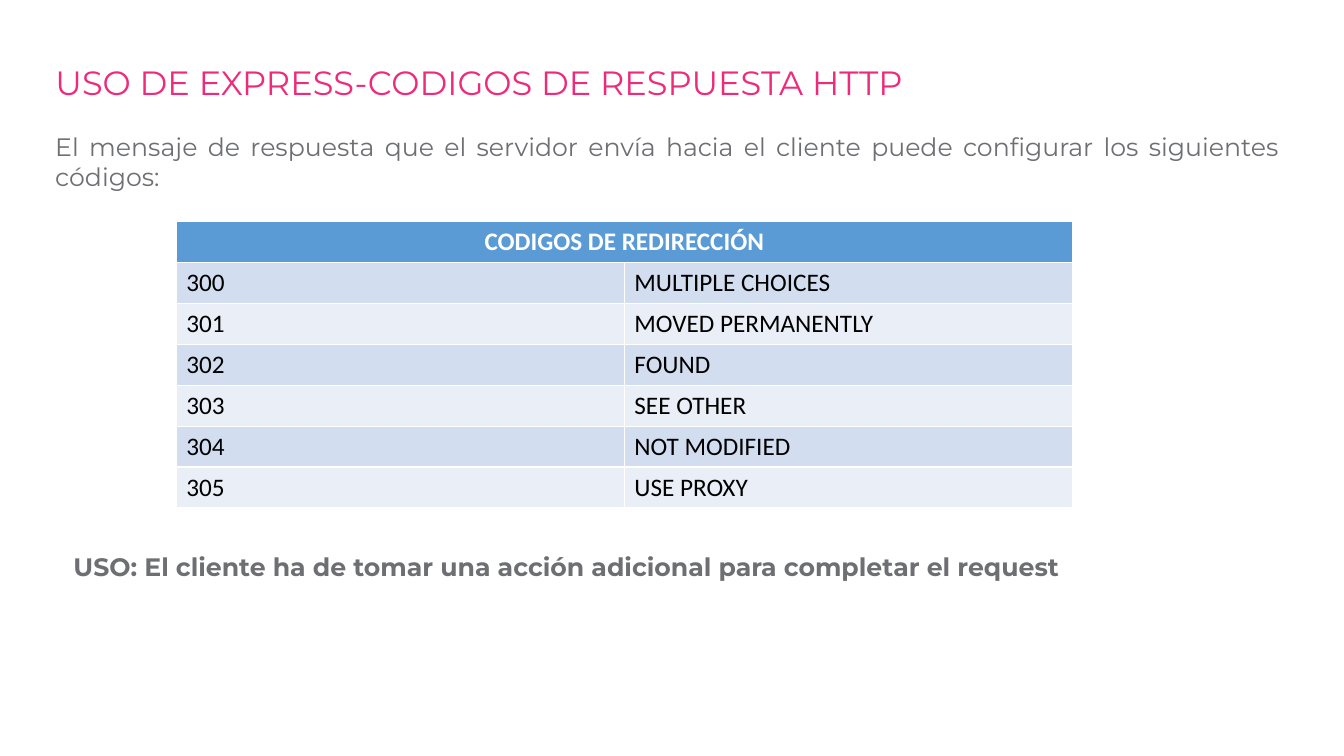
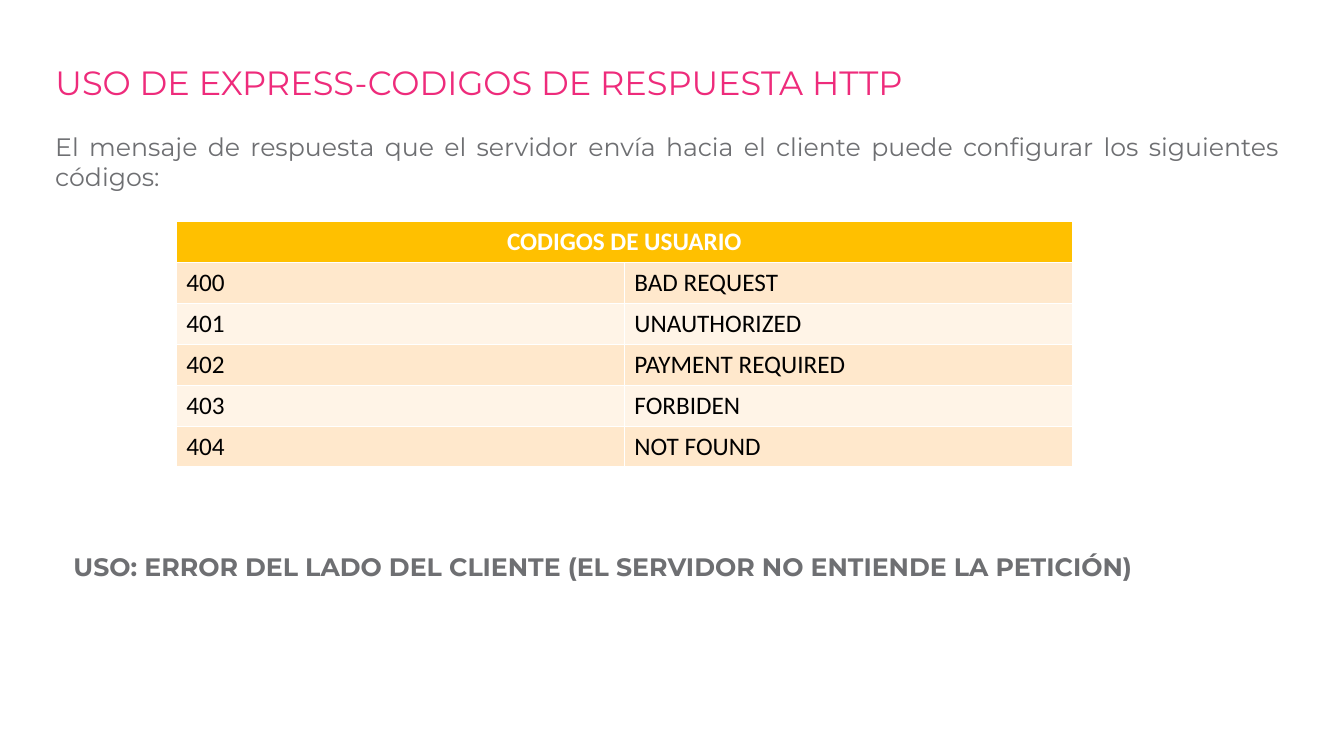
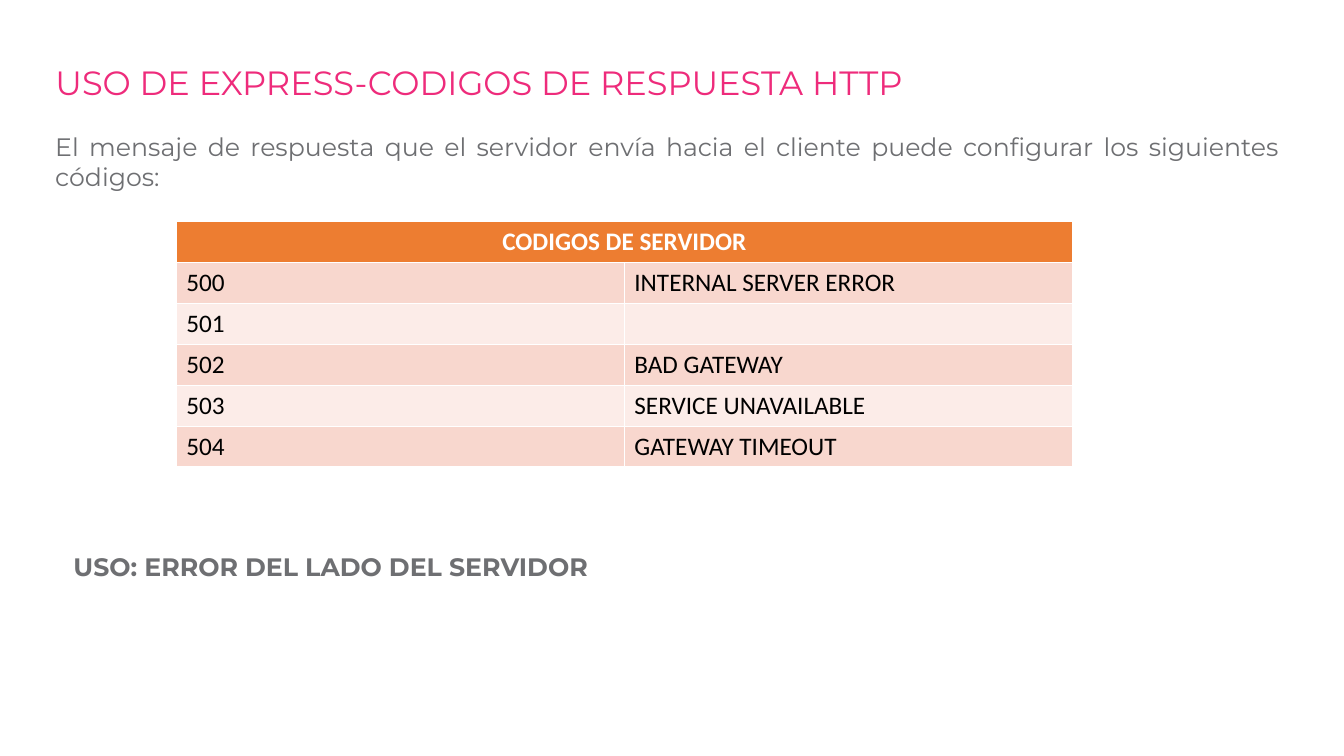
from pptx import Presentation
from pptx.dml.color import RGBColor as RGB
from pptx.enum.text import MSO_ANCHOR as Anchor, MSO_AUTO_SIZE as Fit, PP_ALIGN as Align
from pptx.util import Pt

# Colours
PINK = RGB(0xEE, 0x2B, 0x7B)
GRAY = RGB(0x6E, 0x6F, 0x72)
WHITE = RGB(0xFF, 0xFF, 0xFF)
BLACK = RGB(0x00, 0x00, 0x00)
# Each theme: header, odd row, even row
BLUE = RGB(0x5B, 0x9B, 0xD5), RGB(0xD2, 0xDE, 0xEF), RGB(0xEA, 0xEF, 0xF7)
GOLD = RGB(0xFF, 0xC0, 0x00), RGB(0xFF, 0xE8, 0xCC), RGB(0xFF, 0xF4, 0xE7)
ORANGE = RGB(0xED, 0x7D, 0x31), RGB(0xF8, 0xD7, 0xCE), RGB(0xFC, 0xEC, 0xE8)

# Shared wording
TITLE = "USO DE EXPRESS-CODIGOS DE RESPUESTA HTTP"
INTRO = ("El mensaje de respuesta que el servidor envía hacia el cliente "
         "puede configurar los siguientes códigos:")

# Each slide: theme, table heading, first code, meanings, usage
TOPICS = [
    (BLUE, "CODIGOS DE REDIRECCIÓN", 300,
     ["MULTIPLE CHOICES", "MOVED PERMANENTLY", "FOUND", "SEE OTHER",
      "NOT MODIFIED", "USE PROXY"],
     "USO: El cliente ha de tomar una acción adicional para completar el request"),
    (GOLD, "CODIGOS DE USUARIO", 400,
     ["BAD REQUEST", "UNAUTHORIZED", "PAYMENT REQUIRED", "FORBIDEN", "NOT FOUND"],
     "USO: ERROR DEL LADO DEL CLIENTE (EL SERVIDOR NO ENTIENDE LA PETICIÓN)"),
    (ORANGE, "CODIGOS DE SERVIDOR", 500,
     ["INTERNAL SERVER ERROR", "", "BAD GATEWAY", "SERVICE UNAVAILABLE",
      "GATEWAY TIMEOUT"],
     "USO: ERROR DEL LADO DEL SERVIDOR"),
]


class Deck:
    """Holds the style and the current slide."""

    FACE = "Montserrat"
    CELL_FACE = "Calibri"
    SIZE = 18
    ROW = 29.2
    COL = 320

    def __init__(self):
        self.prs = Presentation()
        self.prs.slide_width, self.prs.slide_height = Pt(960), Pt(540)
        self.slide = None

    def style(self, para, face, size, color, bold=False, align=Align.LEFT):
        para.alignment = align
        font = para.font
        font.name, font.size, font.bold = face, Pt(size), bold
        font.color.rgb = color

    def title(self, text):
        """Start a slide and set its title."""
        self.slide = self.prs.slides.add_slide(self.prs.slide_layouts[5])
        shape = self.slide.shapes.title
        shape.left, shape.top = Pt(32.4), Pt(44)
        shape.width, shape.height = Pt(828), Pt(104.4)
        frame = shape.text_frame
        frame.text = text
        frame.auto_size, frame.vertical_anchor = Fit.NONE, Anchor.TOP
        para = frame.paragraphs[0]
        para.line_spacing = 0.9
        self.style(para, self.FACE, 24, PINK)

    def text(self, text, left, top, width, height, **look):
        box = self.slide.shapes.add_textbox(Pt(left), Pt(top), Pt(width), Pt(height))
        frame = box.text_frame
        frame.word_wrap = True
        frame.text = text
        self.style(frame.paragraphs[0], self.FACE, self.SIZE, GRAY, **look)

    def cell(self, cell, text, fill, color=BLACK, **look):
        cell.text = text
        cell.fill.solid()
        cell.fill.fore_color.rgb = fill
        self.style(cell.text_frame.paragraphs[0], self.CELL_FACE, self.SIZE,
                   color, **look)

    def table(self, theme, head, first, names):
        count = len(names) + 1
        table = self.slide.shapes.add_table(
            count, 2, Pt(126), Pt(158.4), Pt(2 * self.COL), Pt(count * self.ROW)).table
        for row in table.rows:
            row.height = Pt(self.ROW)
        # Heading across both columns
        table.cell(0, 0).merge(table.cell(0, 1))
        self.cell(table.cell(0, 0), head, theme[0], WHITE, bold=True,
                  align=Align.CENTER)
        # Codes and meanings in banded rows
        for i, name in enumerate(names):
            fill = theme[1 + i % 2]
            self.cell(table.cell(i + 1, 0), str(first + i), fill)
            self.cell(table.cell(i + 1, 1), name, fill)


def main():
    deck = Deck()
    for theme, head, first, names, usage in TOPICS:
        deck.title(TITLE)
        deck.text(INTRO, 32.4, 90, 888.5, 94.3, align=Align.JUSTIFY)
        deck.table(theme, head, first, names)
        deck.text(usage, 45.4, 390.2, 833, 29, bold=True)
    deck.prs.save("out.pptx")


if __name__ == "__main__":
    main()
